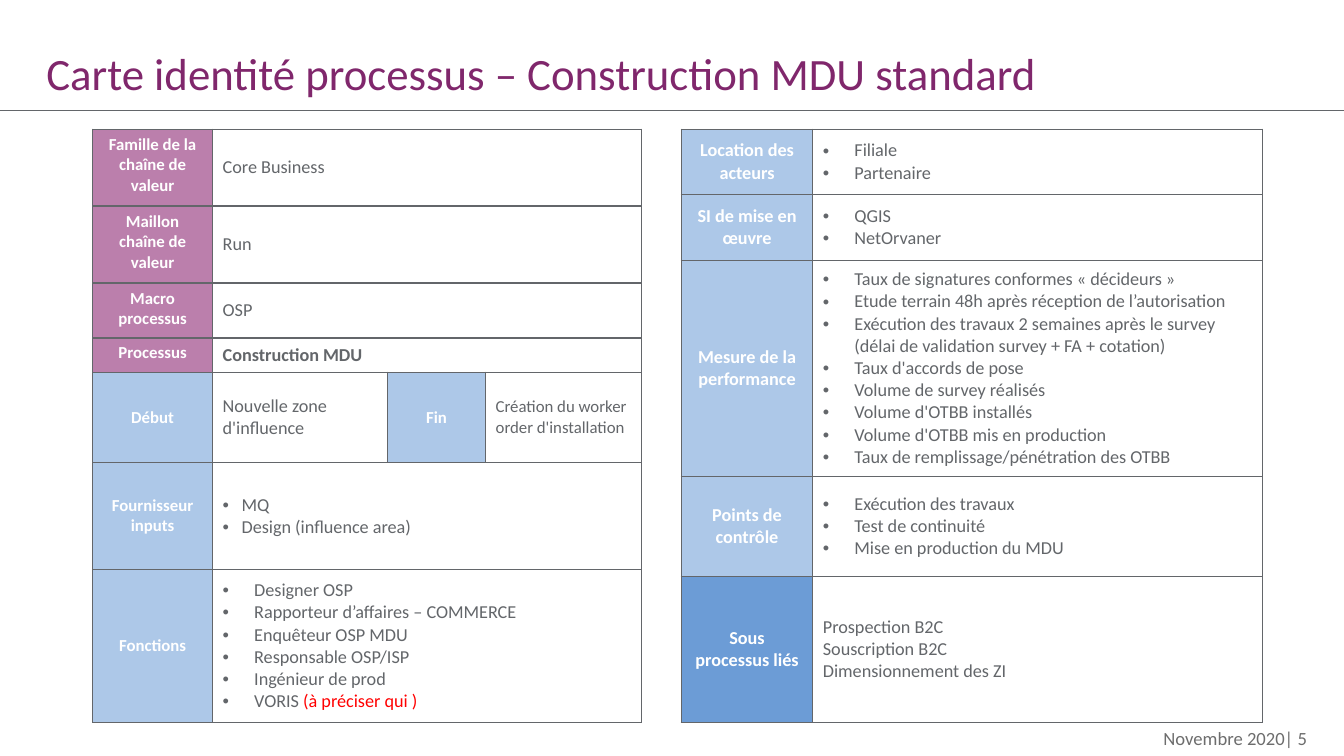
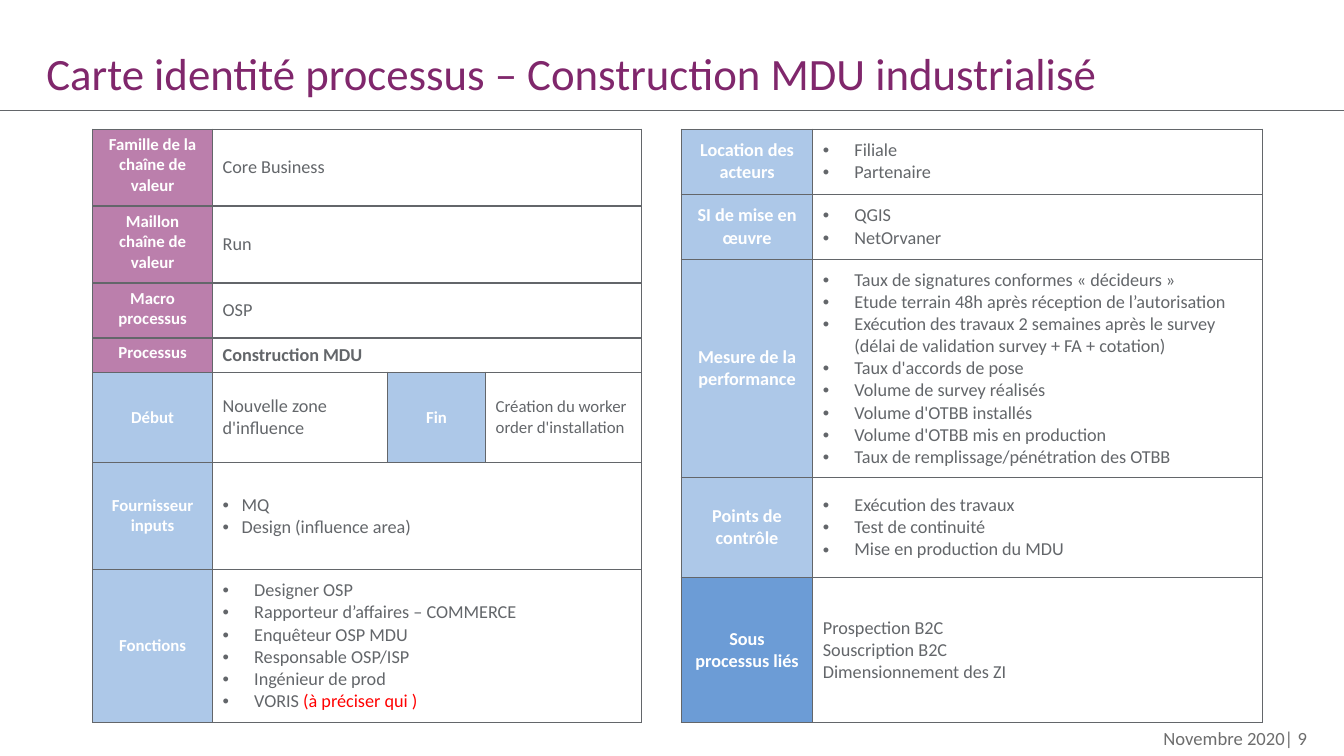
from lxml.etree import SubElement
from pptx import Presentation
from pptx.dml.color import RGBColor
from pptx.enum.shapes import MSO_CONNECTOR
from pptx.enum.text import MSO_ANCHOR, MSO_AUTO_SIZE, PP_ALIGN
from pptx.oxml import parse_xml
from pptx.oxml.ns import nsdecls, qn
from pptx.util import Pt

COLORS = {
    "title": "80276C",
    "text": "63666A",
    "footer": "6D6D6D",
    "white": "FFFFFF",
    "alert": "FF0000",
    "family": "BB7FAC",
    "detail": "ADC8E8",
    "linked": "6C9CD6",
}
FONT = "Calibri"
SLIDE_W, SLIDE_H = 960, 540
TABLE_TOP = 92.2
LEFT_X, RIGHT_X = 66.2, 486.6
LEFT_COLS = [85.7, 125, 70, 111.2]
LEFT_HEIGHTS = [55, 55, 39.2, 24.6, 64.5, 76.3, 109.4]
RIGHT_COLS = [94, 321]
NARROW, WIDE = 13.5, 22.5

LEFT_ROWS = [
    ("Famille de la chaîne de valeur", "family", ["Core Business"], 0),
    ("Maillon chaîne de valeur", "family", ["Run"], 0),
    ("Macro processus", "family", ["OSP"], 0),
    ("Processus", "family", ["Construction MDU"], 0),
    ("Début", "detail", ["Nouvelle zone d'influence"], 0),
    ("Fournisseur inputs", "detail", ["MQ", "Design (influence area)"], NARROW),
    ("Fonctions", "detail", [
        "Designer OSP",
        "Rapporteur d’affaires – COMMERCE",
        "Enquêteur OSP MDU",
        "Responsable OSP/ISP",
        "Ingénieur de prod",
        [("VORIS ", "text"), ("(à préciser qui )", "alert")],
    ], WIDE),
]
PROCESS_ROW, START_ROW = 3, 4
RIGHT_ROWS = [
    ("Location des acteurs", "detail", ["Filiale", "Partenaire"], WIDE),
    ("SI de mise en œuvre", "detail", ["QGIS", "NetOrvaner"], WIDE),
    ("Mesure de la performance", "detail", [
        "Taux de signatures conformes « décideurs »",
        "Etude terrain 48h après réception de l’autorisation",
        "Exécution des travaux 2 semaines après le survey "
        "(délai de validation survey + FA + cotation)",
        "Taux d'accords de pose",
        "Volume de survey réalisés",
        "Volume d'OTBB installés",
        "Volume d'OTBB mis en production",
        "Taux de remplissage/pénétration des OTBB",
    ], WIDE),
    ("Points de contrôle", "detail",
     ["Exécution des travaux", "Test de continuité", "Mise en production du MDU"], WIDE),
    ("Sous processus liés", "linked",
     ["Prospection B2C", "Souscription B2C", "Dimensionnement des ZI"], 0),
]
SLIDES = [
    ("standard", 5, [46.8, 46.8, 154.6, 71.2, 104.6]),
    ("industrialisé", 9, [46.5, 46.5, 156.1, 71.2, 103.7]),
]


def rgb(name):
    return RGBColor.from_string(COLORS[name])


def add_run(p, text, size, color, bold=False):
    r = p.add_run()
    r.text = text
    r.font.name = FONT
    r.font.size = Pt(size)
    r.font.bold = bold
    r.font.color.rgb = rgb(color)


def add_bullet(p, indent):
    pPr = p._p.get_or_add_pPr()
    pPr.set("marL", str(Pt(indent)))
    pPr.set("indent", str(-Pt(indent)))
    SubElement(pPr, qn("a:buFont")).set("typeface", "Arial")
    SubElement(pPr, qn("a:buChar")).set("char", "•")


def set_frame(tf, anchor):
    tf.margin_left = tf.margin_right = tf.margin_top = tf.margin_bottom = 0
    tf.word_wrap = True
    tf.auto_size = MSO_AUTO_SIZE.NONE
    tf.vertical_anchor = anchor


def set_borders(cell):
    tcPr = cell._tc.get_or_add_tcPr()
    for i, side in enumerate(("lnL", "lnR", "lnT", "lnB")):
        tcPr.insert(i, parse_xml(
            f'<a:{side} {nsdecls("a")} w="{Pt(1)}"><a:solidFill>'
            f'<a:srgbClr val="{COLORS["text"]}"/></a:solidFill></a:{side}>'))


def fill_label(cell, text, color, size):
    cell.fill.solid()
    cell.fill.fore_color.rgb = rgb(color)
    cell.vertical_anchor = MSO_ANCHOR.TOP if color == "family" else MSO_ANCHOR.MIDDLE
    p = cell.text_frame.paragraphs[0]
    p.alignment = PP_ALIGN.CENTER
    add_run(p, text, size, "white", True)


def fill_content(cell, items, indent=0, size=13, bold=False):
    cell.vertical_anchor = MSO_ANCHOR.MIDDLE
    tf = cell.text_frame
    for i, item in enumerate(items):
        p = tf.add_paragraph() if i else tf.paragraphs[0]
        if indent:
            add_bullet(p, indent)
        for text, color in [(item, "text")] if isinstance(item, str) else item:
            add_run(p, text, size, color, bold)


def add_grid(s, x, cols, heights):
    frame = s.shapes.add_table(len(heights), len(cols), Pt(x), Pt(TABLE_TOP),
                               Pt(sum(cols)), Pt(sum(heights)))
    table = frame.table
    table.first_row = table.horz_banding = False
    for column, width in zip(table.columns, cols):
        column.width = Pt(width)
    for row, height in zip(table.rows, heights):
        row.height = Pt(height)
    for cell in table.iter_cells():
        cell.fill.background()
        set_borders(cell)
    return table


def fill_rows(table, rows, label_size, bold_row=None):
    for i, (label, color, items, indent) in enumerate(rows):
        fill_label(table.cell(i, 0), label, color, label_size)
        fill_content(table.cell(i, 1), items, indent, bold=i == bold_row)


def add_identity_table(s):
    table = add_grid(s, LEFT_X, LEFT_COLS, LEFT_HEIGHTS)
    for i in range(len(LEFT_ROWS)):
        if i != START_ROW:
            table.cell(i, 1).merge(table.cell(i, 3))
    fill_rows(table, LEFT_ROWS, 12, PROCESS_ROW)
    fill_label(table.cell(START_ROW, 2), "Fin", "detail", 12)
    fill_content(table.cell(START_ROW, 3), ["Création du worker order d'installation"], size=12)


def add_performance_table(s, heights):
    fill_rows(add_grid(s, RIGHT_X, RIGHT_COLS, heights), RIGHT_ROWS, 13)


def add_title(s, text):
    title = s.shapes.title
    title.left, title.top, title.width, title.height = Pt(33.1), Pt(0), Pt(907), Pt(71.3)
    tf = title.text_frame
    set_frame(tf, MSO_ANCHOR.BOTTOM)
    p = tf.paragraphs[0]
    p.alignment = PP_ALIGN.LEFT
    add_run(p, text, 32, "title")


def add_rule(s):
    line = s.shapes.add_connector(MSO_CONNECTOR.STRAIGHT, Pt(0), Pt(78.7), Pt(SLIDE_W), Pt(78.7))
    line.line.color.rgb = rgb("text")
    line.line.width = Pt(0.75)
    SubElement(line._element.spPr, qn("a:effectLst"))


def add_footer(s, number):
    box = s.shapes.add_textbox(Pt(648), Pt(519.1), Pt(285.8), Pt(16))
    tf = box.text_frame
    set_frame(tf, MSO_ANCHOR.MIDDLE)
    p = tf.paragraphs[0]
    p.alignment = PP_ALIGN.RIGHT
    add_run(p, f"Novembre 2020| {number}", 13.3, "footer")


def add_process_slide(prs, variant, number, heights):
    s = prs.slides.add_slide(prs.slide_layouts[5])
    add_title(s, f"Carte identité processus – Construction MDU {variant}")
    add_rule(s)
    add_identity_table(s)
    add_performance_table(s, heights)
    add_footer(s, number)


def main():
    prs = Presentation()
    prs.slide_width, prs.slide_height = Pt(SLIDE_W), Pt(SLIDE_H)
    for variant, number, heights in SLIDES:
        add_process_slide(prs, variant, number, heights)
    prs.save("out.pptx")


if __name__ == "__main__":
    main()
